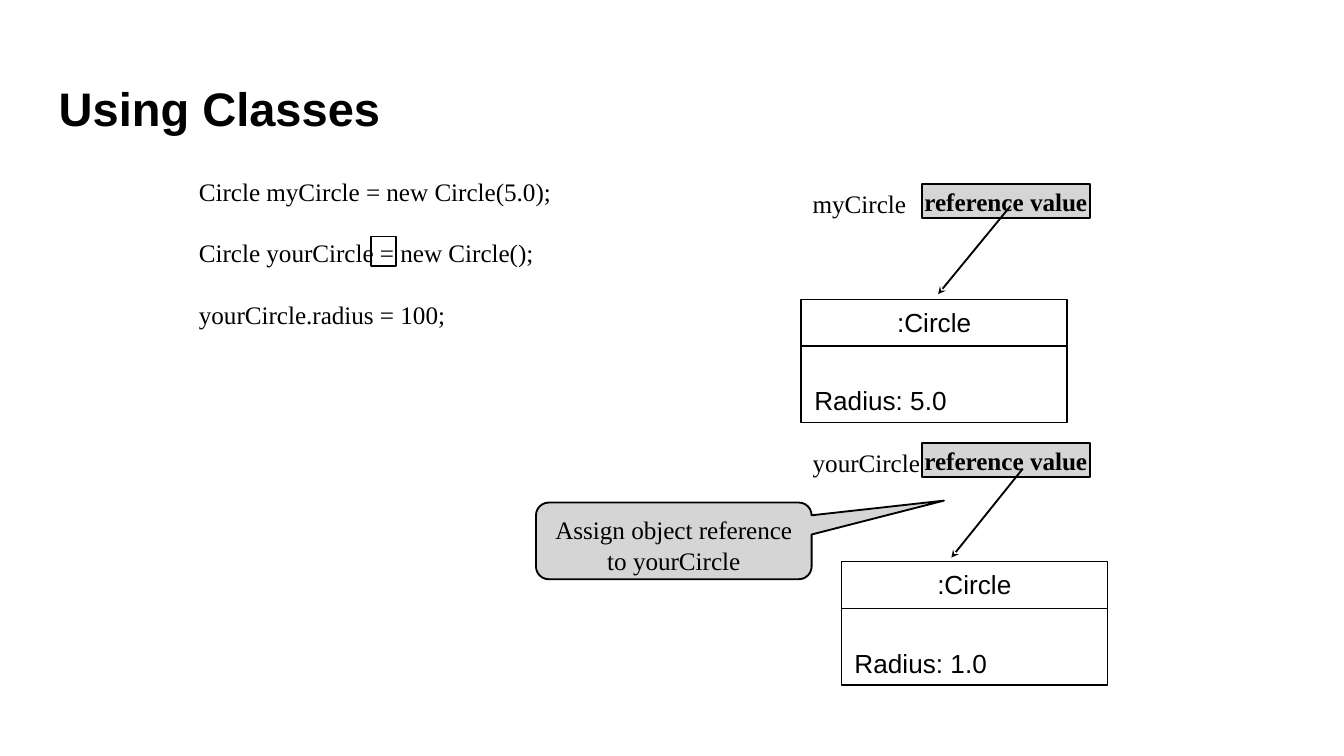
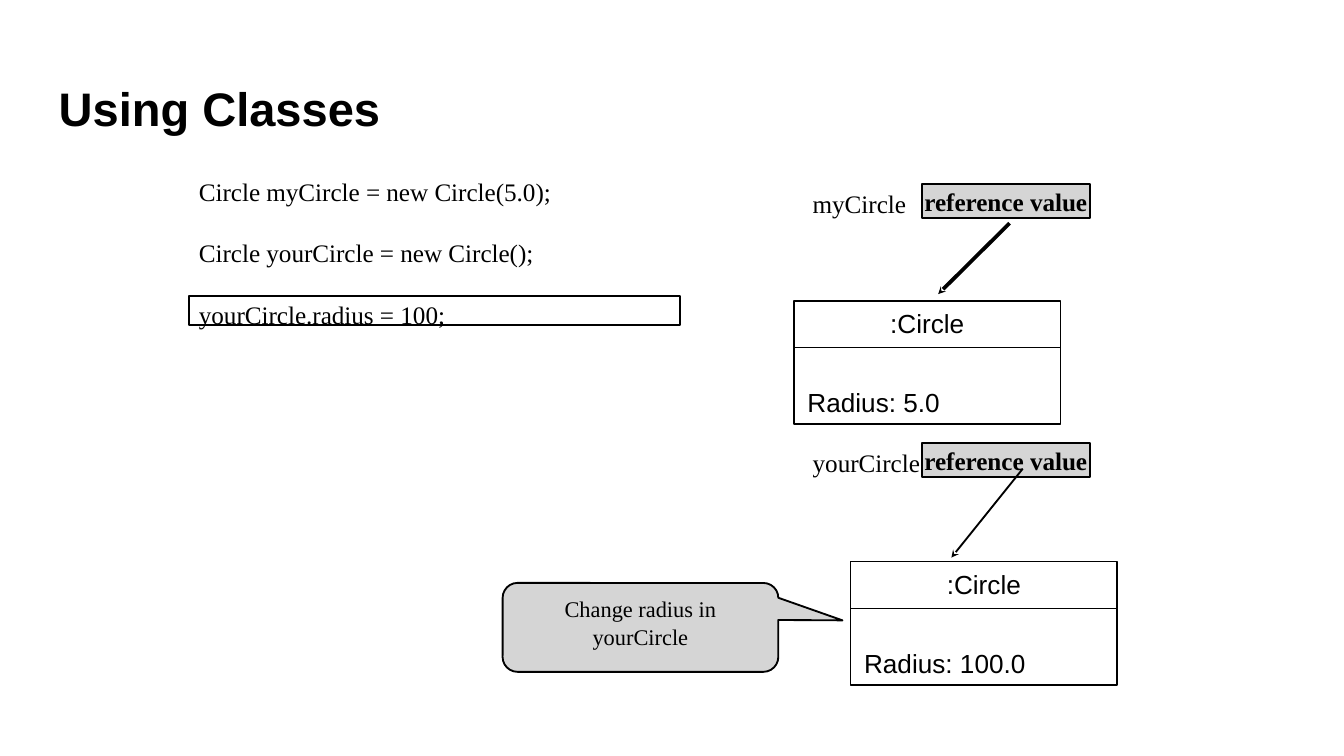
"""Builds two slides that trace object references while Circle objects are used."""
from dataclasses import dataclass

from lxml.etree import SubElement
from pptx import Presentation
from pptx.dml.color import RGBColor
from pptx.enum.shapes import MSO_CONNECTOR, MSO_SHAPE
from pptx.enum.text import MSO_ANCHOR, PP_ALIGN
from pptx.oxml.ns import qn
from pptx.shapes.autoshape import Shape
from pptx.slide import Slide
from pptx.text.text import TextFrame
from pptx.util import Cm, Pt


@dataclass(frozen=True)
class Theme:
    """Colours, fonts and type sizes shared by the slides."""
    ink: RGBColor = RGBColor(0x00, 0x00, 0x00)
    shade: RGBColor = RGBColor(0x59, 0x59, 0x59)
    shade_opacity: int = 25
    sans: str = "Arial"
    serif: str = "Times New Roman"
    title_size: float = 25.2
    code_size: float = 13.5
    object_size: float = 14
    code_spacing: float = 1.04
    code_gap: float = 16.3
    thin: float = 0.75
    regular: float = 1


@dataclass(frozen=True)
class Box:
    """A rectangle in centimetres."""
    left: float
    top: float
    width: float
    height: float

    def lengths(self) -> tuple[Cm, Cm, Cm, Cm]:
        """Return the four lengths in slide units."""
        return Cm(self.left), Cm(self.top), Cm(self.width), Cm(self.height)


@dataclass(frozen=True)
class Variable:
    """A named variable whose value refers to an object."""
    name: str
    top: float
    label_width: float


@dataclass(frozen=True)
class Pointer:
    """An arrow from a reference value to its object."""
    start: tuple[float, float]
    end: tuple[float, float]
    weight: float = 1


@dataclass(frozen=True)
class CircleObject:
    """A Circle instance and its radius."""
    left: float
    top: float
    radius: str


@dataclass(frozen=True)
class Callout:
    """A speech bubble that explains the highlighted code."""
    text: str
    area: Box
    tip: tuple[float, float]
    size: float


@dataclass(frozen=True)
class Step:
    """What one slide shows beyond the shared parts."""
    highlight: Box
    callout: Callout
    pointers: tuple[Pointer, Pointer]
    circles: tuple[CircleObject, CircleObject]


THEME = Theme()
TITLE = "Using Classes"
TITLE_AREA = Box(0.86, 1.24, 23.67, 1.6)
CODE_AREA = Box(3.51, 3.18, 10.01, 3.15)
CODE = (
    "Circle myCircle = new Circle(5.0);",
    "Circle yourCircle = new Circle();",
    "yourCircle.radius = 100;",
)
VARIABLES = (Variable("myCircle", 3.43, 2.36), Variable("yourCircle", 8.33, 2.57))
YOUR_POINTER = Pointer((19.33, 8.86), (17.98, 10.54))
STEPS = (
    Step(
        Box(7.01, 4.47, 0.48, 0.56),
        Callout("Assign object reference to yourCircle",
                Box(10.13, 9.5, 5.21, 1.45), (0.98, -0.525), 13.5),
        (Pointer((19.1, 3.89), (17.73, 5.56)), YOUR_POINTER),
        (CircleObject(15.14, 5.66, "5.0"), CircleObject(15.9, 10.62, "1.0")),
    ),
    Step(
        Box(3.58, 5.59, 9.27, 0.56),
        Callout("Change radius in yourCircle",
                Box(9.5, 11.02, 5.21, 1.68), (0.733, -0.079), 12),
        (Pointer((19.08, 4.22), (17.73, 5.56), 2), YOUR_POINTER),
        (CircleObject(15.01, 5.69, "5.0"), CircleObject(16.08, 10.62, "100.0")),
    ),
)


def write(frame: TextFrame, text: str, font: str, size: float,
          align: PP_ALIGN = PP_ALIGN.LEFT, bold: bool = False,
          anchor: MSO_ANCHOR = MSO_ANCHOR.TOP) -> None:
    """Fill a text frame and format its paragraphs and runs."""
    frame.text = text
    frame.word_wrap = True
    frame.vertical_anchor = anchor
    for paragraph in frame.paragraphs:
        paragraph.alignment = align
        for run in paragraph.runs:
            run.font.name = font
            run.font.size = Pt(size)
            run.font.bold = bold
            run.font.color.rgb = THEME.ink


def set_insets(frame: TextFrame, inset: float) -> None:
    """Give a text frame the same inset on every side."""
    frame.margin_left = frame.margin_right = Cm(inset)
    frame.margin_top = frame.margin_bottom = Cm(inset)


def add_outline(slide: Slide, area: Box, weight: float, shaded: bool = False,
                preset: MSO_SHAPE = MSO_SHAPE.RECTANGLE) -> Shape:
    """Draw an outlined shape, clear or lightly shaded."""
    outline = slide.shapes.add_shape(preset, *area.lengths())
    outline.shadow.inherit = False
    outline.line.color.rgb = THEME.ink
    outline.line.width = Pt(weight)
    if shaded:
        outline.fill.solid()
        outline.fill.fore_color.rgb = THEME.shade
        tint = outline.fill._xPr.find(qn("a:solidFill"))[0]
        SubElement(tint, qn("a:alpha"), val=str(THEME.shade_opacity * 1000))
    else:
        outline.fill.background()
    return outline


def add_title(slide: Slide) -> None:
    """Place and format the slide title."""
    title = slide.shapes.title
    title.left, title.top, title.width, title.height = TITLE_AREA.lengths()
    write(title.text_frame, TITLE, THEME.sans, THEME.title_size, bold=True,
          anchor=MSO_ANCHOR.MIDDLE)
    set_insets(title.text_frame, 0.25)


def add_code(slide: Slide) -> None:
    """Write the code lines with a gap between statements."""
    frame = slide.shapes.add_textbox(*CODE_AREA.lengths()).text_frame
    write(frame, "\n".join(CODE), THEME.serif, THEME.code_size)
    for number, statement in enumerate(frame.paragraphs):
        statement.line_spacing = THEME.code_spacing
        if number:
            statement.space_before = Pt(THEME.code_gap)


def add_variable(slide: Slide, variable: Variable) -> None:
    """Draw a reference value with its variable name on the left."""
    value = add_outline(slide, Box(17.42, variable.top + 0.05, 3.18, 0.64),
                        THEME.regular, shaded=True).text_frame
    write(value, "reference value", THEME.serif, THEME.code_size,
          PP_ALIGN.CENTER, bold=True, anchor=MSO_ANCHOR.MIDDLE)
    set_insets(value, 0.03)
    value.word_wrap = False
    label_area = Box(15.11, variable.top, variable.label_width, 0.84)
    label = slide.shapes.add_textbox(*label_area.lengths())
    write(label.text_frame, variable.name, THEME.serif, THEME.code_size)


def add_pointer(slide: Slide, pointer: Pointer) -> None:
    """Draw an arrow with a stealth head."""
    ends = [Cm(value) for value in pointer.start + pointer.end]
    arrow = slide.shapes.add_connector(MSO_CONNECTOR.STRAIGHT, *ends)
    arrow.line.color.rgb = THEME.ink
    arrow.line.width = Pt(pointer.weight)
    SubElement(arrow.line._get_or_add_ln(), qn("a:tailEnd"),
               type="stealth", w="sm", len="sm")
    SubElement(arrow._element.spPr, qn("a:effectLst"))


def add_callout(slide: Slide, callout: Callout) -> None:
    """Draw a shaded callout aimed at its tip."""
    bubble = add_outline(slide, callout.area, THEME.regular, shaded=True,
                         preset=MSO_SHAPE.ROUNDED_RECTANGULAR_CALLOUT)
    for index, value in enumerate((*callout.tip, 0.167)):
        bubble.adjustments[index] = value
    write(bubble.text_frame, callout.text, THEME.serif, callout.size, PP_ALIGN.CENTER)
    bubble.text_frame.paragraphs[0].line_spacing = THEME.code_spacing


def add_circle_object(slide: Slide, circle: CircleObject) -> None:
    """Draw an object as a class header above its radius."""
    header = add_outline(slide, Box(circle.left, circle.top, 5.03, 0.88), THEME.thin)
    write(header.text_frame, ":Circle", THEME.sans, THEME.object_size, PP_ALIGN.CENTER)
    state = add_outline(slide, Box(circle.left, circle.top + 0.88, 5.03, 1.45), THEME.thin)
    write(state.text_frame, f"Radius: {circle.radius}", THEME.sans,
          THEME.object_size, anchor=MSO_ANCHOR.BOTTOM)


def add_step(presentation: Presentation, step: Step) -> None:
    """Build one slide from the shared parts and its step."""
    slide = presentation.slides.add_slide(presentation.slide_layouts[5])
    add_title(slide)
    add_code(slide)
    for variable in VARIABLES:
        add_variable(slide, variable)
    add_outline(slide, step.highlight, THEME.regular)
    add_callout(slide, step.callout)
    for pointer in step.pointers:
        add_pointer(slide, pointer)
    for circle in step.circles:
        add_circle_object(slide, circle)


def main() -> None:
    """Create the presentation and save it."""
    presentation = Presentation()
    presentation.slide_width = Cm(25.4)
    presentation.slide_height = Cm(14.29)
    for step in STEPS:
        add_step(presentation, step)
    presentation.save("out.pptx")


if __name__ == "__main__":
    main()
